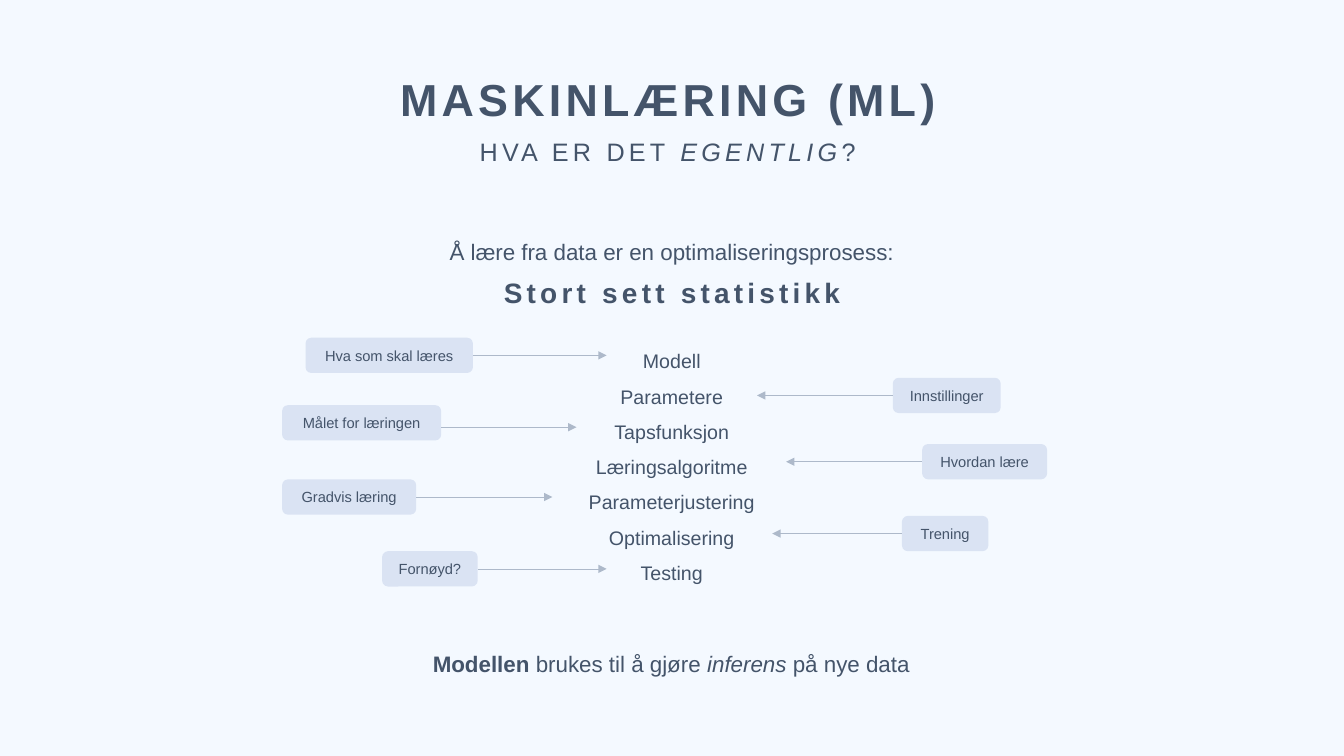
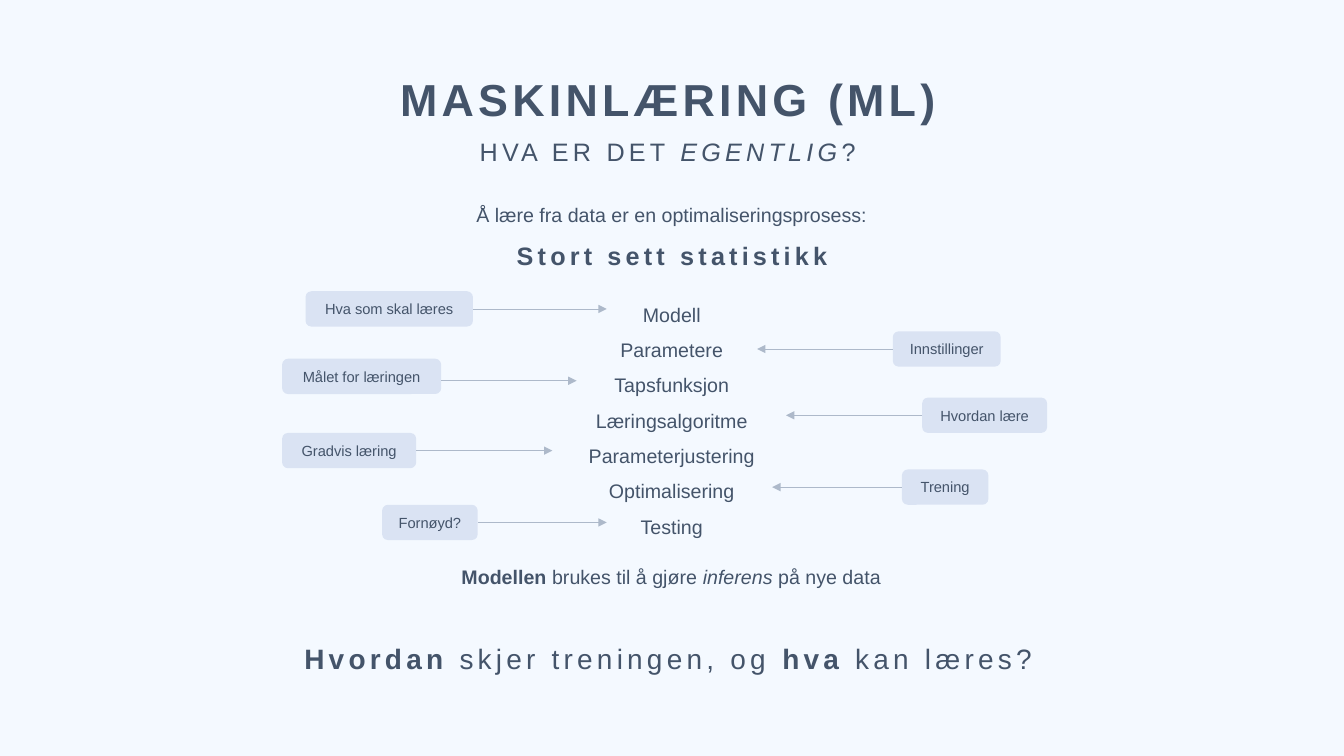
from dataclasses import dataclass

from lxml import etree
from pptx import Presentation
from pptx.dml.color import RGBColor
from pptx.enum.shapes import MSO_CONNECTOR, MSO_SHAPE
from pptx.enum.text import MSO_ANCHOR, MSO_AUTO_SIZE, PP_ALIGN
from pptx.oxml.ns import qn
from pptx.util import Cm, Pt

ROUNDED = MSO_SHAPE.ROUNDED_RECTANGLE
STRAIGHT = MSO_CONNECTOR.STRAIGHT
LEFT, CENTER = PP_ALIGN.LEFT, PP_ALIGN.CENTER
TOP, MIDDLE = MSO_ANCHOR.TOP, MSO_ANCHOR.MIDDLE
NO_AUTOFIT = MSO_AUTO_SIZE.NONE
TITLE_ONLY = 5
LEFT_SIDE, RIGHT_SIDE = 1, 3


@dataclass(frozen=True)
class Theme:
    font: str = "Arial"
    background: RGBColor = RGBColor(0xF4, 0xF9, 0xFF)
    ink: RGBColor = RGBColor(0x44, 0x54, 0x6A)
    label_fill: RGBColor = RGBColor(0xDA, 0xE3, 0xF3)
    arrow: RGBColor = RGBColor(0xAD, 0xB9, 0xCA)
    title: float = 32
    subtitle: float = 18
    question: float = 20
    step: float = 14
    label: float = 10.5
    tracking: float = 3
    label_height: float = 0.89


THEME = Theme()

SUBTITLE = [("HVA ER DET ", ""), ("EGENTLIG", "italic"), ("?", "")]
INTRO = "Å lære fra data er en optimaliseringsprosess:"
STATEMENT = [("Stort sett statistikk", "bold")]
CONCLUSION = [("Modellen", "bold"), (" brukes til å gjøre ", ""),
              ("inferens", "italic"), (" på nye data", "")]
QUESTION = [("Hvordan", "bold"), (" skjer treningen, og ", ""),
            ("hva", "bold"), (" kan læres?", "")]
STEPS = ["Modell", "Parametere", "Tapsfunksjon", "Læringsalgoritme",
         "Parameterjustering", "Optimalisering", "Testing"]

# text, left, top below the top of the step list, width, x of the arrow tip,
# drop of the arrow below the middle of the label
LABELS = [
    ("Hva som skal læres", 7.7, 0.13, 4.22, 15.29, 0),
    ("Innstillinger", 22.5, 1.14, 2.72, 19.08, 0),
    ("Målet for læringen", 7.11, 1.83, 4.01, 14.53, 0.11),
    ("Hvordan lære", 23.24, 2.81, 3.15, 19.81, 0),
    ("Gradvis læring", 7.11, 3.7, 3.38, 13.92, 0),
    ("Trening", 22.73, 4.62, 2.18, 19.46, 0),
    ("Fornøyd?", 9.63, 5.51, 2.41, 15.29, 0),
]


def write(frame, paragraphs, *, size, align=CENTER, anchor=TOP, wrap=True,
          tracking=0, line_spacing=None):
    """Fill a frame; a paragraph is a string or a list of (text, style) runs."""
    frame.word_wrap = wrap
    frame.auto_size = NO_AUTOFIT
    frame.vertical_anchor = anchor
    for index, content in enumerate(paragraphs):
        paragraph = frame.add_paragraph() if index else frame.paragraphs[0]
        paragraph.alignment = align
        paragraph.line_spacing = line_spacing
        runs = [(content, "")] if isinstance(content, str) else content
        for text, style in runs:
            run = paragraph.add_run()
            run.text = text
            font = run.font
            font.name, font.size = THEME.font, Pt(size)
            font.bold, font.italic = style == "bold", style == "italic"
            font.color.rgb = THEME.ink
            if tracking:
                font._element.set("spc", str(round(tracking * 100)))


class Deck:
    def __init__(self, theme):
        self.theme = theme
        self.presentation = Presentation()
        self.presentation.slide_width = Cm(33.87)
        self.presentation.slide_height = Cm(19.05)
        self.slide = None

    def new_slide(self):
        layout = self.presentation.slide_layouts[TITLE_ONLY]
        self.slide = self.presentation.slides.add_slide(layout)
        fill = self.slide.background.fill
        fill.solid()
        fill.fore_color.rgb = self.theme.background

    def title(self, text):
        title = self.slide.shapes.title
        title.left, title.top = Cm(9.83), Cm(1.68)
        title.width, title.height = Cm(14.22), Cm(1.63)
        write(title.text_frame, [[(text, "bold")]], size=self.theme.title,
              align=LEFT, wrap=False, tracking=self.theme.tracking)

    def text(self, paragraphs, left, top, width, height, **text_format):
        box = self.slide.shapes.add_textbox(
            Cm(left), Cm(top), Cm(width), Cm(height))
        write(box.text_frame, paragraphs, **text_format)

    def label(self, text, left, top, width):
        shape = self.slide.shapes.add_shape(
            ROUNDED, Cm(left), Cm(top), Cm(width), Cm(self.theme.label_height))
        shape.shadow.inherit = False
        shape.fill.solid()
        shape.fill.fore_color.rgb = self.theme.label_fill
        shape.line.fill.background()
        write(shape.text_frame, [text], size=self.theme.label, anchor=MIDDLE)
        return shape

    def arrow(self, label, tip, drop):
        """Point from the nearer side of a label to the x position tip."""
        to_right = Cm(tip) > label.left
        start = label.left + label.width if to_right else label.left
        y = label.top + label.height // 2 + Cm(drop)
        connector = self.slide.shapes.add_connector(
            STRAIGHT, start, y, Cm(tip), y)
        if not drop:
            connector.begin_connect(
                label, RIGHT_SIDE if to_right else LEFT_SIDE)
        connector.line.color.rgb = self.theme.arrow
        connector.line.width = Pt(0.5)
        line = connector.line._get_or_add_ln()
        etree.SubElement(line, qn("a:tailEnd"), type="triangle")
        etree.SubElement(connector._element.spPr, qn("a:effectLst"))

    def learning_slide(self, *, intro_top, statement_top, steps_top,
                       conclusion_top, body_size, statement_size):
        spaced = {"tracking": self.theme.tracking}
        self.new_slide()
        self.title("MASKINLÆRING (ML)")
        self.text([SUBTITLE], 11.84, 3.3, 10.19, 1.02, align=LEFT,
                  wrap=False, size=self.theme.subtitle, **spaced)
        self.text([INTRO], 9.63, intro_top, 14.6, 0.94, size=body_size)
        self.text([STATEMENT], 12.04, statement_top, 9.8, 1.12,
                  size=statement_size, **spaced)
        self.text(STEPS, 9.63, steps_top, 14.6, 6.45,
                  size=self.theme.step, line_spacing=1.5)
        self.text([CONCLUSION], 9.98, conclusion_top, 13.87, 0.94,
                  size=body_size)
        for text, left, offset, width, tip, drop in LABELS:
            label = self.label(text, left, steps_top + offset, width)
            self.arrow(label, tip, drop)

    def question(self, runs):
        self.text([runs], 7.42, 16.05, 19, 1.12, align=LEFT, wrap=False,
                  size=self.theme.question, tracking=self.theme.tracking)


def main():
    deck = Deck(THEME)
    deck.learning_slide(intro_top=5.87, statement_top=6.81, steps_top=8.38,
                        conclusion_top=16.26, body_size=16, statement_size=20)
    deck.learning_slide(intro_top=4.98, statement_top=5.92, steps_top=7.21,
                        conclusion_top=14.1, body_size=14, statement_size=18)
    deck.question(QUESTION)
    deck.presentation.save("out.pptx")


if __name__ == "__main__":
    main()
